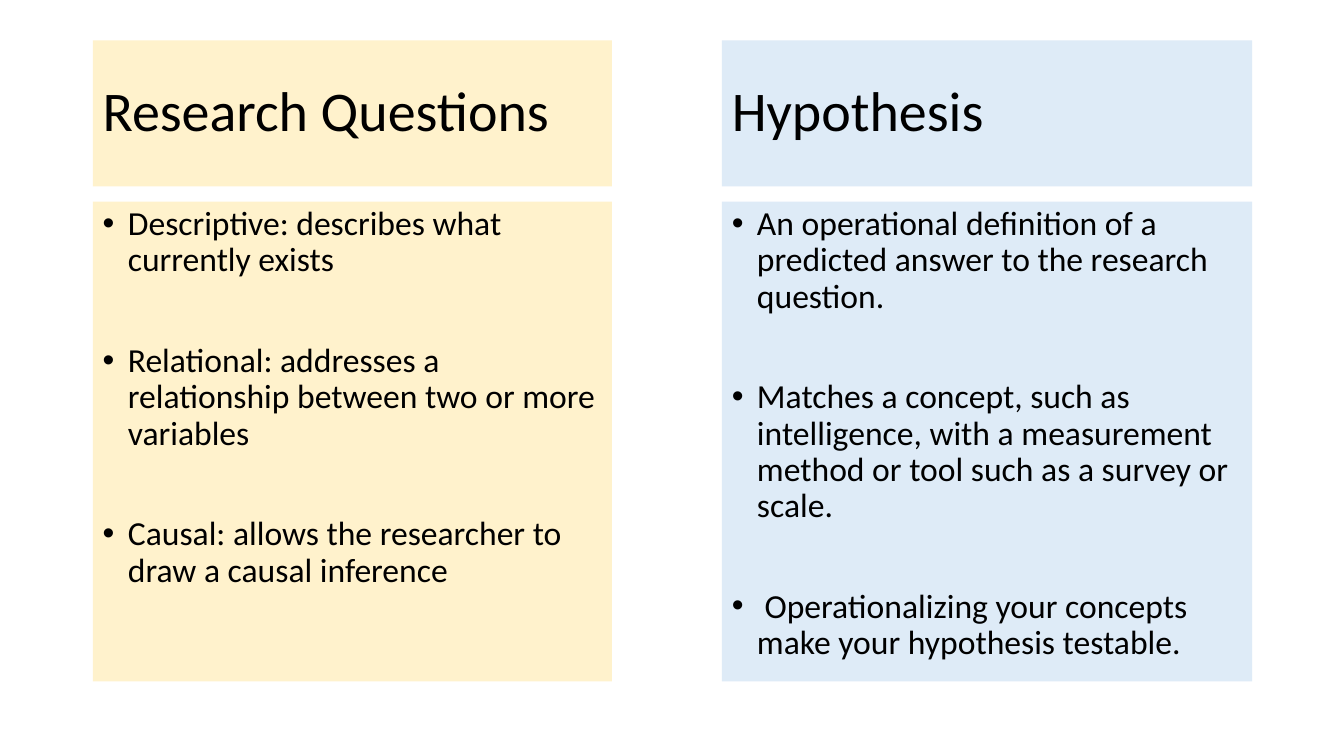
"""Build a slide that sets research questions beside the hypothesis."""
from lxml import etree
from pptx import Presentation
from pptx.dml.color import RGBColor
from pptx.enum.text import MSO_ANCHOR
from pptx.oxml.ns import qn
from pptx.util import Inches, Pt

COLORS = {"questions": "FFF2CC", "hypothesis": "DEEBF7", "text": "000000"}

COLUMNS = [
    ("Research Questions", "questions", 0.92, 5.15, [
        "Descriptive: describes what currently exists",
        "Relational: addresses a relationship between two or more variables",
        "Causal: allows the researcher to draw a causal inference",
    ]),
    ("Hypothesis", "hypothesis", 7.16, 5.26, [
        "An operational definition of a predicted answer to the research question.",
        "Matches a concept, such as intelligence, with a measurement method or tool "
        "such as a survey or scale.",
        " Operationalizing your concepts make your hypothesis testable.",
    ]),
]


def add_panel(left, top, width, height, color, lines, size, anchor):
    panel = slide.shapes.add_textbox(Inches(left), Inches(top), Inches(width), Inches(height))
    panel.fill.solid()
    panel.fill.fore_color.rgb = RGBColor.from_string(COLORS[color])
    frame = panel.text_frame
    frame.word_wrap = True
    frame.vertical_anchor = anchor
    frame.text = "\n".join(lines)
    for paragraph in frame.paragraphs:
        paragraph.line_spacing = 0.9
        font = paragraph.runs[0].font
        font.name = "Calibri"
        font.size = Pt(size)
        font.color.rgb = RGBColor.from_string(COLORS["text"])
    return frame.paragraphs


def add_bullet(paragraph):
    properties = paragraph._p.get_or_add_pPr()
    properties.set("marL", str(Inches(0.25)))
    properties.set("indent", str(Inches(-0.25)))
    etree.SubElement(properties, qn("a:buFont"), typeface="Arial")
    etree.SubElement(properties, qn("a:buChar"), char="•")


prs = Presentation()
prs.slide_width = Inches(13.33)
prs.slide_height = Inches(7.5)
slide = prs.slides.add_slide(prs.slide_layouts[6])

for heading, color, left, width, points in COLUMNS:
    add_panel(left, 0.4, width, 1.45, color, [heading], 40, MSO_ANCHOR.MIDDLE)
    bullets = add_panel(left, 2, width, 4.76, color, points, 24, MSO_ANCHOR.TOP)
    for position, bullet in enumerate(bullets):
        bullet.space_before = Pt(46 if position else 0)
        add_bullet(bullet)

prs.save("out.pptx")
